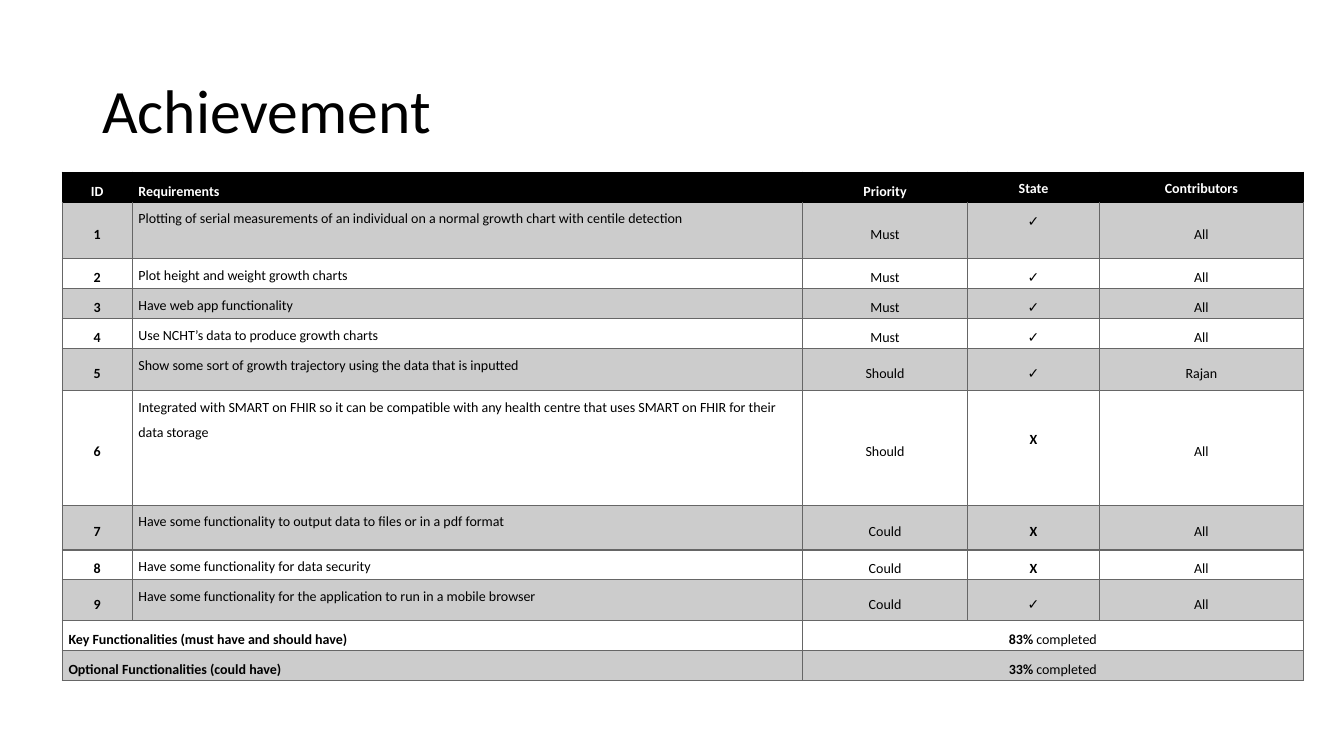
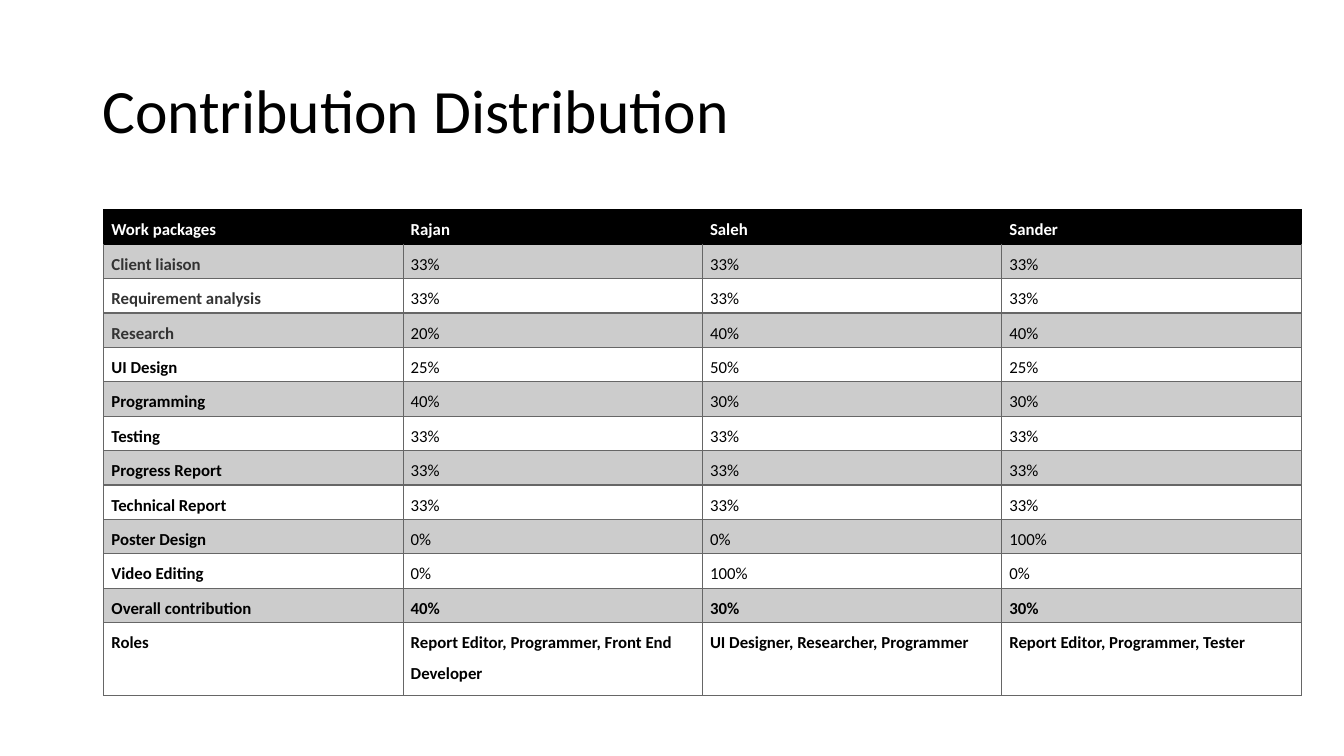
from dataclasses import dataclass
from typing import NamedTuple

from lxml.etree import SubElement
from pptx import Presentation
from pptx.dml.color import RGBColor
from pptx.enum.text import MSO_ANCHOR, PP_ALIGN
from pptx.oxml.ns import qn
from pptx.util import Pt

# Shared look
BLACK, WHITE, BAND, GRID, DARK = "000000", "FFFFFF", "CCCCCC", "666666", "333333"
BODY_FONT, TICK_FONT = "Calibri", "Karla"
TICK, CROSS = "✓", "X"
LEFT, CENTER = PP_ALIGN.LEFT, PP_ALIGN.CENTER
TOP, MIDDLE = MSO_ANCHOR.TOP, MSO_ANCHOR.MIDDLE


@dataclass(frozen=True)
class Column:
    width: float
    align: PP_ALIGN = LEFT
    anchor: MSO_ANCHOR = TOP
    header_anchor: MSO_ANCHOR = TOP
    bold: bool = False


@dataclass(frozen=True)
class Grid:
    left: float
    top: float
    columns: list[Column]
    heights: list[float]
    size: float
    inset: float


class Requirement(NamedTuple):
    text: str
    priority: str
    state: str
    contributors: str
    height: float
    state_lift: float = 0


class Summary(NamedTuple):
    label: str
    share: str


class WorkPackage(NamedTuple):
    name: str
    shares: tuple[str, str, str]
    color: str = BLACK
    bold: bool = False


def rgb(value: str) -> RGBColor:
    return RGBColor.from_string(value)


def add_text(paragraph, text: str, *, size: float, color: str = BLACK,
             bold: bool = False, font: str = BODY_FONT, align: PP_ALIGN = LEFT,
             spacing: float = 1.5) -> None:
    paragraph.alignment = align
    paragraph.line_spacing = spacing
    run = paragraph.add_run()
    run.text = text
    run.font.size, run.font.name, run.font.bold = Pt(size), font, bold
    run.font.color.rgb = rgb(color)


def add_titled_slide(deck, title: str):
    slide = deck.slides.add_slide(deck.slide_layouts[6])
    frame = slide.shapes.add_textbox(Pt(66), Pt(28.8), Pt(828), Pt(104.4)).text_frame
    frame.word_wrap = True
    frame.vertical_anchor = MIDDLE
    add_text(frame.paragraphs[0], title, size=44, spacing=0.9)
    return slide


def set_borders(cell, top: str, other: str) -> None:
    properties = cell._tc.get_or_add_tcPr()
    for side in ("L", "R", "T", "B"):
        line = SubElement(properties, qn(f"a:ln{side}"), w=str(Pt(1)))
        fill = SubElement(line, qn("a:solidFill"))
        SubElement(fill, qn("a:srgbClr"), val=top if side == "T" else other)


def add_grid(slide, grid: Grid):
    """Add an empty table with a black header row and grey bands."""
    table = slide.shapes.add_table(
        len(grid.heights), len(grid.columns), Pt(grid.left), Pt(grid.top),
        Pt(sum(column.width for column in grid.columns)), Pt(sum(grid.heights))).table
    table.first_row = table.horz_banding = False
    for index, column in enumerate(grid.columns):
        table.columns[index].width = Pt(column.width)
    for row, height in enumerate(grid.heights):
        table.rows[row].height = Pt(height)
        for index, column in enumerate(grid.columns):
            cell = table.cell(row, index)
            cell.margin_left = cell.margin_right = Pt(grid.inset)
            cell.margin_top = cell.margin_bottom = Pt(0)
            cell.vertical_anchor = column.anchor if row else column.header_anchor
            set_borders(cell, BLACK if row < 2 else GRID, GRID if row else BLACK)
            cell.fill.solid()
            cell.fill.fore_color.rgb = rgb((BAND if row % 2 else WHITE) if row else BLACK)
    return table


def fill_header(table, grid: Grid, labels: list[str]) -> None:
    for index, (label, column) in enumerate(zip(labels, grid.columns)):
        add_text(table.cell(0, index).text_frame.paragraphs[0], label,
                 size=grid.size, color=WHITE, bold=True, align=column.align)


# Content of the achievement slide
LINE = 21.4
REQUIREMENTS = [
    Requirement("Plotting of serial measurements of an individual on a normal growth "
                "chart with centile detection", "Must", TICK, "All", 40.4, 18),
    Requirement("Plot height and weight growth charts", "Must", TICK, "All", LINE),
    Requirement("Have web app functionality", "Must", TICK, "All", LINE),
    Requirement("Use NCHT’s data to produce growth charts", "Must", TICK, "All", LINE),
    Requirement("Show some sort of growth trajectory using the data that is inputted",
                "Should", TICK, "Rajan", 30),
    Requirement("Integrated with SMART on FHIR so it can be compatible with any health "
                "centre that uses SMART on FHIR for their data storage",
                "Should", CROSS, "All", 82, 18),
    Requirement("Have some functionality to output data to files or in a pdf format",
                "Could", CROSS, "All", 32),
    Requirement("Have some functionality for data security", "Could", CROSS, "All", LINE),
    Requirement("Have some functionality for the application to run in a mobile browser",
                "Could", TICK, "All", 29.3),
]
SUMMARIES = [
    Summary("Key Functionalities (must have and should have)", "83%"),
    Summary("Optional Functionalities (could have)", "33%"),
]
ACHIEVEMENT_GRID = Grid(
    left=44.5, top=123, size=10, inset=4.5,
    columns=[
        Column(49.9, CENTER, MIDDLE, MIDDLE, bold=True),
        Column(478.8, LEFT, TOP, MIDDLE),
        Column(118, CENTER, MIDDLE, MIDDLE),
        Column(94.2, CENTER, MIDDLE, TOP, bold=True),
        Column(145.5, CENTER, MIDDLE, TOP),
    ],
    heights=[LINE, *(item.height for item in REQUIREMENTS), *[LINE] * len(SUMMARIES)])

# Content of the contribution slide
THIRDS = ("33%", "33%", "33%")
WORK_PACKAGES = [
    WorkPackage("Client liaison", THIRDS, DARK),
    WorkPackage("Requirement analysis", THIRDS, DARK),
    WorkPackage("Research", ("20%", "40%", "40%"), DARK),
    WorkPackage("UI Design", ("25%", "50%", "25%")),
    WorkPackage("Programming", ("40%", "30%", "30%")),
    WorkPackage("Testing", THIRDS),
    WorkPackage("Progress Report", THIRDS),
    WorkPackage("Technical Report", THIRDS),
    WorkPackage("Poster Design", ("0%", "0%", "100%")),
    WorkPackage("Video Editing", ("0%", "100%", "0%")),
    WorkPackage("Overall contribution", ("40%", "30%", "30%"), bold=True),
    WorkPackage("Roles", ("Report Editor, Programmer, Front End Developer",
                          "UI Designer, Researcher, Programmer",
                          "Report Editor, Programmer, Tester"), bold=True),
]
CONTRIBUTION_GRID = Grid(
    left=74.2, top=149.8, size=12, inset=5.4, columns=[Column(213.8)] * 4,
    heights=[24.6] * len(WORK_PACKAGES) + [52.2])


def build_achievement(deck) -> None:
    grid = ACHIEVEMENT_GRID
    table = add_grid(add_titled_slide(deck, "Achievement"), grid)
    fill_header(table, grid, ["ID", "Requirements", "Priority", "State", "Contributors"])

    # One row for each requirement
    for row, item in enumerate(REQUIREMENTS, start=1):
        values = (str(row), item.text, item.priority, item.state, item.contributors)
        for index, (value, column) in enumerate(zip(values, grid.columns)):
            add_text(table.cell(row, index).text_frame.paragraphs[0], value,
                     size=grid.size, bold=column.bold, align=column.align,
                     font=TICK_FONT if value == TICK else BODY_FONT)
        table.cell(row, 3).margin_bottom = Pt(item.state_lift)

    # Merged summary rows
    for row, summary in enumerate(SUMMARIES, start=len(REQUIREMENTS) + 1):
        label, result = table.cell(row, 0), table.cell(row, 2)
        label.merge(table.cell(row, 1))
        result.merge(table.cell(row, 4))
        add_text(label.text_frame.paragraphs[0], summary.label, size=grid.size, bold=True)
        completion = result.text_frame.paragraphs[0]
        add_text(completion, summary.share, size=grid.size, bold=True, align=CENTER)
        add_text(completion, " completed", size=grid.size, align=CENTER)


def build_contribution(deck) -> None:
    grid = CONTRIBUTION_GRID
    table = add_grid(add_titled_slide(deck, "Contribution Distribution"), grid)
    fill_header(table, grid, ["Work packages", "Rajan", "Saleh", "Sander"])
    for row, package in enumerate(WORK_PACKAGES, start=1):
        add_text(table.cell(row, 0).text_frame.paragraphs[0], package.name,
                 size=grid.size, color=package.color, bold=True)
        for index, share in enumerate(package.shares, start=1):
            add_text(table.cell(row, index).text_frame.paragraphs[0], share,
                     size=grid.size, bold=package.bold)


deck = Presentation()
deck.slide_width, deck.slide_height = Pt(960), Pt(540)
build_achievement(deck)
build_contribution(deck)
deck.save("out.pptx")
